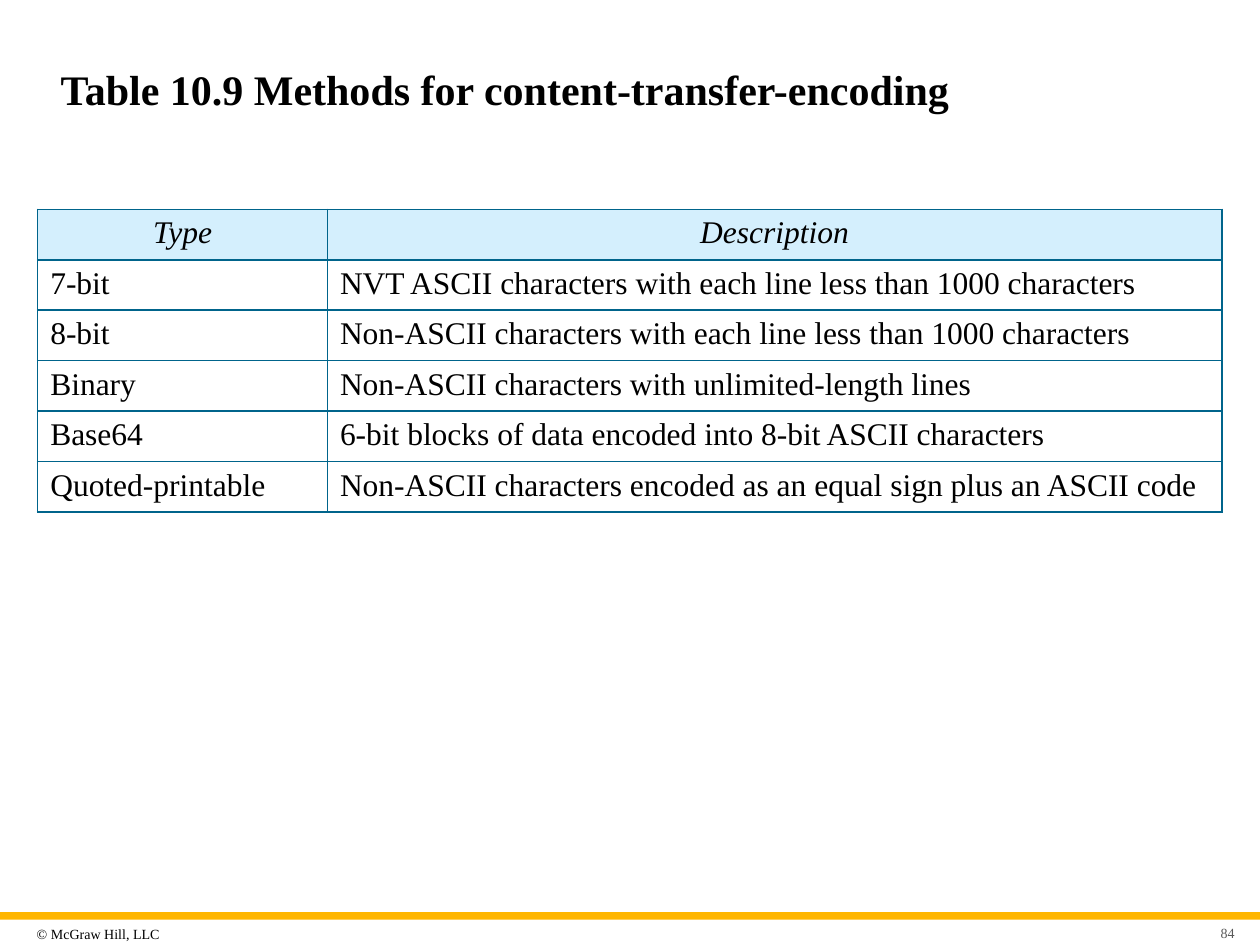
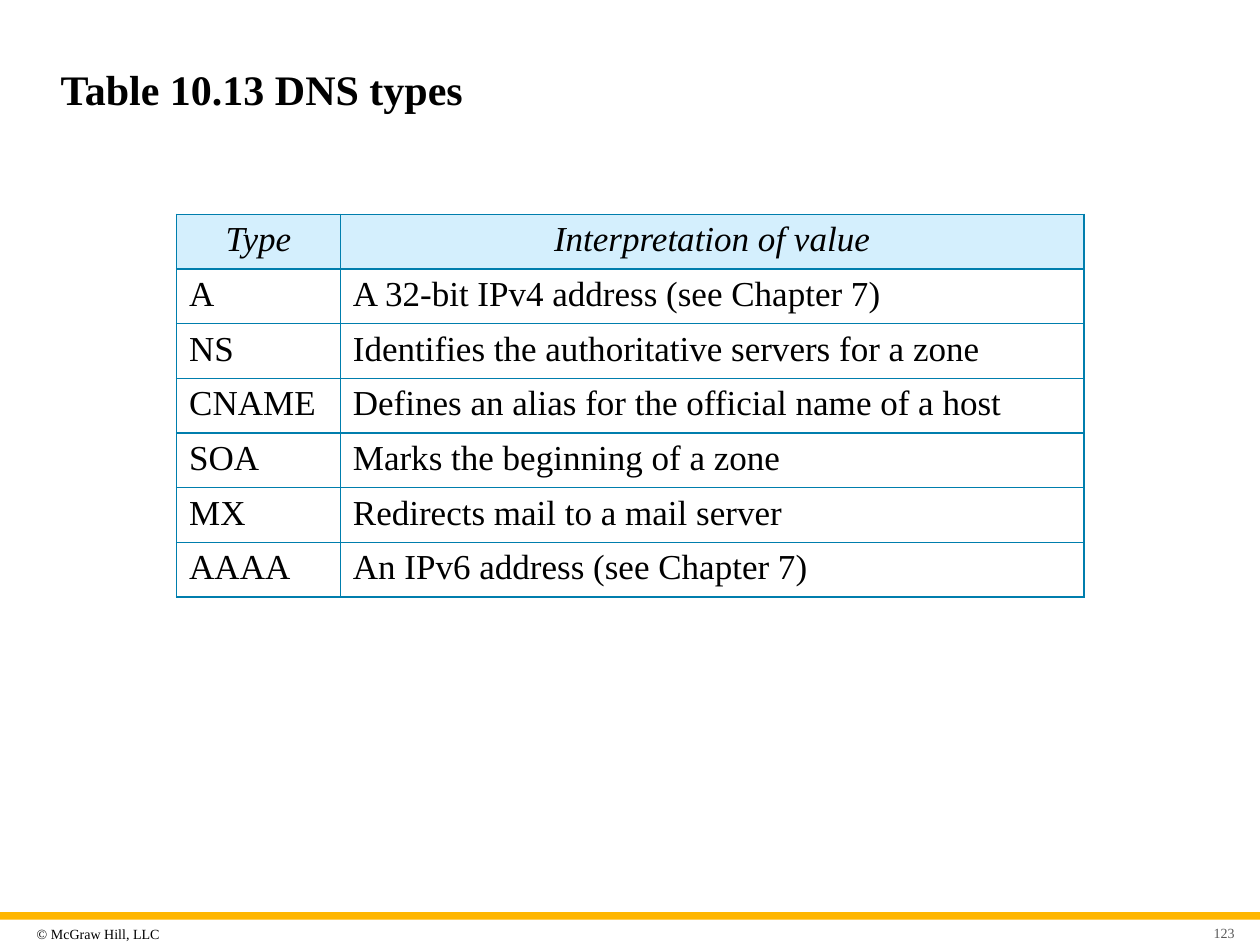
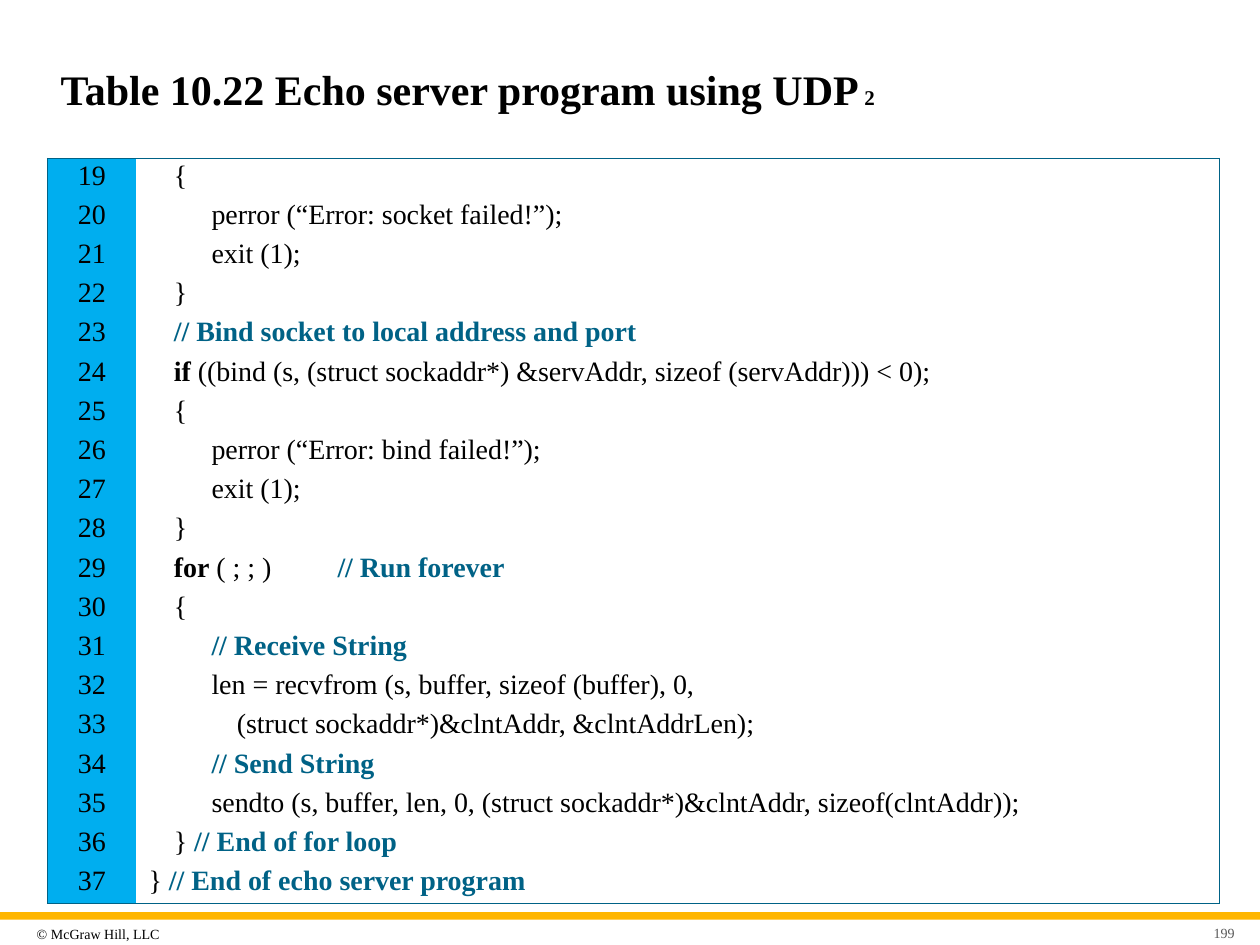
from dataclasses import dataclass

from lxml import etree
from pptx import Presentation
from pptx.dml.color import RGBColor
from pptx.enum.shapes import MSO_SHAPE
from pptx.enum.text import MSO_ANCHOR, MSO_AUTO_SIZE, PP_ALIGN
from pptx.oxml.ns import qn
from pptx.util import Cm, Pt

RECTANGLE = MSO_SHAPE.RECTANGLE
MIDDLE = MSO_ANCHOR.MIDDLE
NO_AUTOSIZE = MSO_AUTO_SIZE.NONE
LEFT, CENTER, RIGHT = PP_ALIGN.LEFT, PP_ALIGN.CENTER, PP_ALIGN.RIGHT

FONT = "Times New Roman"
COLORS = {
    "text": "000000",
    "page number": "595959",
    "band": "FFB600",
    "header": "D4EFFD",
    "line number": "00AEEF",
    "code accent": "006286",
    "methods grid": "00648B",
    "types grid": "007EAD",
}
NO_GRID_STYLE = "{2D5ABB26-0587-4C30-8999-92F81FD0307C}"
TITLE_ONLY = 5
ALL_SIDES = "LRTB"

# Code indents and the comment column, in centimetres
OUTER, BLOCK, INNER, CONTINUED = 0, 0.51, 1.27, 1.78
COMMENT_TAB = 3.05


@dataclass(frozen=True)
class Place:
    left: float
    top: float
    widths: tuple[float, ...]
    row_height: float


@dataclass(frozen=True)
class GridSlide:
    title: str
    number: int
    place: Place
    size: int
    border: str
    rows: tuple[tuple[str, str], ...]


@dataclass(frozen=True)
class CodeLine:
    indent: float
    code: str = ""
    comment: str = ""
    keyword: str = ""


METHODS = GridSlide(
    "Table 10.9 Methods for content-transfer-encoding", 84,
    Place(0.76, 4.22, (5.84, 18.03), 0.84), 18, "methods grid",
    (
        ("Type", "Description"),
        ("7-bit", "NVT ASCII characters with each line less than 1000 characters"),
        ("8-bit", "Non-ASCII characters with each line less than 1000 characters"),
        ("Binary", "Non-ASCII characters with unlimited-length lines"),
        ("Base64", "6-bit blocks of data encoded into 8-bit ASCII characters"),
        ("Quoted-printable",
         "Non-ASCII characters encoded as an equal sign plus an ASCII code"),
    ),
)
DNS_TYPES = GridSlide(
    "Table 10.13 DNS types", 123,
    Place(3.56, 4.32, (3.3, 14.99), 1.04), 20, "types grid",
    (
        ("Type", "Interpretation of value"),
        ("A", "A 32-bit IPv4 address (see Chapter 7)"),
        ("NS", "Identifies the authoritative servers for a zone"),
        ("CNAME", "Defines an alias for the official name of a host"),
        ("SOA", "Marks the beginning of a zone"),
        ("MX", "Redirects mail to a mail server"),
        ("AAAA", "An IPv6 address (see Chapter 7)"),
    ),
)

CODE_PLACE = Place(0.96, 3.2, (1.78, 21.84), 0.79)
FIRST_LINE = 19
CODE = (
    CodeLine(BLOCK, "{"),
    CodeLine(INNER, "perror (“Error: socket failed!”);"),
    CodeLine(INNER, "exit (1);"),
    CodeLine(BLOCK, "}"),
    CodeLine(BLOCK, comment="// Bind socket to local address and port"),
    CodeLine(BLOCK, " ((bind (s, (struct sockaddr*) &servAddr, sizeof (servAddr))) < 0);",
             keyword="if"),
    CodeLine(BLOCK, "{"),
    CodeLine(INNER, "perror (“Error: bind failed!”);"),
    CodeLine(INNER, "exit (1);"),
    CodeLine(BLOCK, "}"),
    CodeLine(BLOCK, " ( ; ; ) \t", "// Run forever", "for"),
    CodeLine(BLOCK, "{"),
    CodeLine(BLOCK, comment="\t// Receive String"),
    CodeLine(INNER, "len = recvfrom (s, buffer, sizeof (buffer), 0,"),
    CodeLine(CONTINUED, "(struct sockaddr*)&clntAddr, &clntAddrLen);"),
    CodeLine(BLOCK, comment="\t// Send String"),
    CodeLine(INNER, "sendto (s, buffer, len, 0, (struct sockaddr*)&clntAddr, sizeof(clntAddr));"),
    CodeLine(BLOCK, "} ", "// End of for loop"),
    CodeLine(OUTER, "} ", "// End of echo server program"),
)


def color(name: str) -> RGBColor:
    return RGBColor.from_string(COLORS[name])


def format_paragraph(para, size: int, ink: str = "text", align=LEFT,
                     bold: bool = False, italic: bool = False) -> None:
    para.alignment = align
    font = para.font
    font.name, font.size = FONT, Pt(size)
    font.bold, font.italic = bold, italic
    font.color.rgb = color(ink)


# Shared parts of every slide
def add_footer_text(page, left: float, top: float, width: float, height: float,
                    text: str, ink: str, align, left_inset: float) -> None:
    box = page.shapes.add_textbox(Cm(left), Cm(top), Cm(width), Cm(height))
    frame = box.text_frame
    frame.word_wrap = True
    frame.vertical_anchor = MIDDLE
    frame.margin_left = Cm(left_inset)
    frame.margin_right = frame.margin_top = frame.margin_bottom = Cm(0.13)
    frame.text = text
    format_paragraph(frame.paragraphs[0], 8, ink, align)


def add_page(deck, title: str, number: int, part: str = ""):
    page = deck.slides.add_slide(deck.slide_layouts[TITLE_ONLY])
    band = page.shapes.add_shape(RECTANGLE, 0, Cm(18.39), deck.slide_width, Cm(0.15))
    band.shadow.inherit = False
    band.fill.solid()
    band.fill.fore_color.rgb = color("band")
    band.line.fill.background()
    add_footer_text(page, 0.61, 18.52, 3.43, 0.61, "© McGraw Hill, LLC",
                    "text", LEFT, 0.13)
    add_footer_text(page, 24.03, 18.57, 0.99, 0.46, str(number),
                    "page number", RIGHT, 0.25)

    heading = page.shapes.title
    heading.left, heading.top = Cm(0.97), Cm(0.84)
    heading.width, heading.height = Cm(23.5), Cm(1.88)
    frame = heading.text_frame
    frame.auto_size = NO_AUTOSIZE
    frame.vertical_anchor = MIDDLE
    frame.text = title
    para = frame.paragraphs[0]
    format_paragraph(para, 24, bold=True)
    if part:
        span = para.add_run()
        span.text = f" {part}"
        span.font.size = Pt(12)
    return page


# Tables
def add_grid(page, place: Place, row_count: int):
    frame = page.shapes.add_table(
        row_count, len(place.widths), Cm(place.left), Cm(place.top),
        Cm(sum(place.widths)), Cm(place.row_height * row_count))
    table = frame.table
    table.first_row = table.horz_banding = False
    table._tbl.tblPr.find(qn("a:tableStyleId")).text = NO_GRID_STYLE
    for column, width in zip(table.columns, place.widths):
        column.width = Cm(width)
    for row in table.rows:
        row.height = Cm(place.row_height)
    return table


def style_cell(cell, border: str, sides: str, fill: str = "") -> None:
    properties = cell._tc.get_or_add_tcPr()
    for side in ALL_SIDES:
        if side in sides:
            line = etree.SubElement(properties, qn(f"a:ln{side}"), w=str(Pt(1)))
            solid = etree.SubElement(line, qn("a:solidFill"))
            etree.SubElement(solid, qn("a:srgbClr"), val=COLORS[border])
    if fill:
        cell.fill.solid()
        cell.fill.fore_color.rgb = color(fill)
    else:
        cell.fill.background()


def add_grid_slide(deck, content: GridSlide) -> None:
    page = add_page(deck, content.title, content.number)
    table = add_grid(page, content.place, len(content.rows))
    for row_index, texts in enumerate(content.rows):
        is_header = row_index == 0
        for column_index, text in enumerate(texts):
            cell = table.cell(row_index, column_index)
            cell.text = text
            format_paragraph(cell.text_frame.paragraphs[0], content.size,
                             align=CENTER if is_header else LEFT, italic=is_header)
            style_cell(cell, content.border, ALL_SIDES, "header" if is_header else "")


# Program listing
def write_code(para, line: CodeLine) -> None:
    properties = para._p.get_or_add_pPr()
    properties.set("marL", "0")
    properties.set("indent", str(Cm(line.indent)))
    if "\t" in line.code + line.comment:
        tabs = etree.SubElement(properties, qn("a:tabLst"))
        etree.SubElement(tabs, qn("a:tab"), pos=str(Cm(COMMENT_TAB)), algn="l")
    format_paragraph(para, 16)
    for text, bold, ink in ((line.keyword, True, "text"), (line.code, False, "text"),
                            (line.comment, True, "code accent")):
        if text:
            span = para.add_run()
            span.text = text
            if bold:
                span.font.bold = True
                span.font.color.rgb = color(ink)


def add_code_slide(deck) -> None:
    page = add_page(deck, "Table 10.22 Echo server program using UDP", 199, "2")
    table = add_grid(page, CODE_PLACE, len(CODE))
    for index, line in enumerate(CODE):
        number_cell, code_cell = table.cell(index, 0), table.cell(index, 1)
        for cell in (number_cell, code_cell):
            cell.margin_top = cell.margin_bottom = Cm(0.03)
        number_cell.text = str(FIRST_LINE + index)
        format_paragraph(number_cell.text_frame.paragraphs[0], 16, align=CENTER)
        write_code(code_cell.text_frame.paragraphs[0], line)

        edges = ("T" if index == 0 else "") + ("B" if index == len(CODE) - 1 else "")
        style_cell(number_cell, "code accent", "L" + edges, "line number")
        style_cell(code_cell, "code accent", "R" + edges)


def main() -> None:
    deck = Presentation()
    deck.slide_width, deck.slide_height = Cm(25.4), Cm(19.05)
    for content in (METHODS, DNS_TYPES):
        add_grid_slide(deck, content)
    add_code_slide(deck)
    deck.save("out.pptx")


if __name__ == "__main__":
    main()
